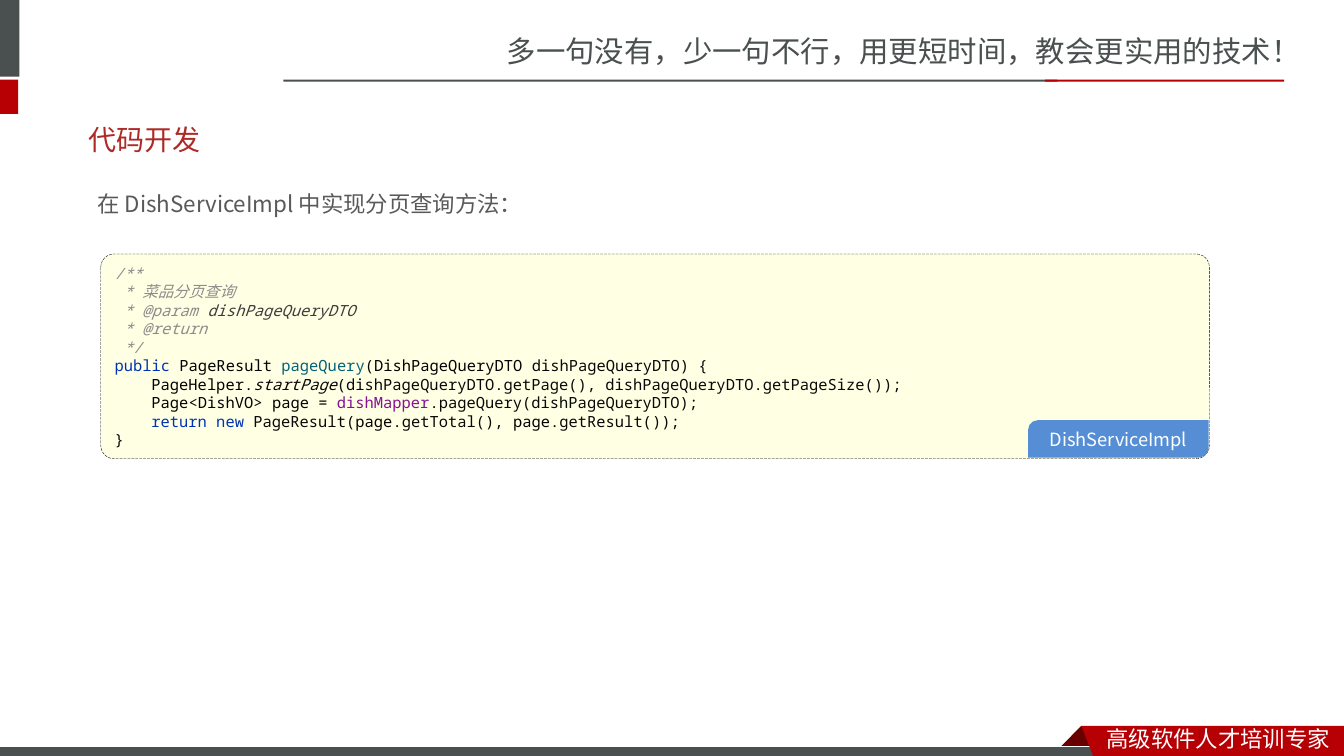
from dataclasses import dataclass
from pptx import Presentation
from pptx.dml.color import RGBColor
from pptx.enum.dml import MSO_LINE
from pptx.enum.shapes import MSO_SHAPE
from pptx.enum.text import MSO_ANCHOR, PP_ALIGN
from pptx.oxml.ns import qn
from pptx.util import Cm, Pt
from lxml.etree import SubElement


@dataclass(frozen=True)
class Theme:
    slate: str = "49504F"
    red: str = "B60004"
    fold: str = "680000"
    white: str = "FFFFFF"
    title: str = "AD2A26"
    body: str = "595959"
    cream: str = "FFFFE4"
    blue: str = "558ED5"
    black: str = "000000"
    code: str = "080808"
    comment: str = "8C8C8C"
    parameter: str = "3D3D3D"
    keyword: str = "0033B3"
    method: str = "00627A"
    field: str = "871094"
    slogan_size: float = 21
    title_size: float = 20
    body_size: float = 16
    tag_size: float = 13
    code_size: float = 11
    sans: str = "Noto Sans CJK SC"
    sans_body: str = "Noto Sans CJK JP"
    latin: str = "Calibri"
    mono: str = "Noto Sans Mono"


class SlideBuilder:
    def __init__(self, page, theme):
        self.page = page
        self.theme = theme

    def style_span(self, span, size, color, font, italic=False):
        span.font.size = Pt(size)
        span.font.color.rgb = RGBColor.from_string(color)
        span.font.name = font
        span.font.italic = italic
        east_asian = self.theme.sans_body if font == self.theme.sans_body else self.theme.sans
        SubElement(span.font._element, qn("a:ea"), typeface=east_asian)

    def paint(self, shape, fill, line=None, width=0.75):
        shape.shadow.inherit = False
        shape.fill.solid()
        shape.fill.fore_color.rgb = RGBColor.from_string(fill)
        if line:
            shape.line.color.rgb = RGBColor.from_string(line)
            shape.line.width = Pt(width)
        else:
            shape.line.fill.background()
        return shape

    def shape(self, kind, place, fill, line=None, width=0.75, adjustments=()):
        shape = self.page.shapes.add_shape(kind, *map(Cm, place))
        for index, value in enumerate(adjustments):
            shape.adjustments[index] = value
        return self.paint(shape, fill, line, width)

    def bar(self, place, fill, line=None):
        return self.shape(MSO_SHAPE.RECTANGLE, place, fill, line)

    def outline(self, points, fill):
        corners = [(Cm(x), Cm(y)) for x, y in points]
        builder = self.page.shapes.build_freeform(*corners[0])
        builder.add_line_segments(corners[1:])
        return self.paint(builder.convert_to_shape(), fill)

    def text(self, place, text, size, color, font, wrap=True, spacing=1.0, anchor=MSO_ANCHOR.TOP):
        box = self.page.shapes.add_textbox(*map(Cm, place))
        frame = box.text_frame
        frame.word_wrap = wrap
        frame.vertical_anchor = anchor
        frame.text = text
        para = frame.paragraphs[0]
        para.line_spacing = spacing
        self.style_span(para.runs[0], size, color, font)

    def code_panel(self, place, lines):
        theme = self.theme
        panel = self.shape(MSO_SHAPE.ROUNDED_RECTANGLE, place, theme.cream,
                           theme.black, 0.25, [0.065])
        panel.line.dash_style = MSO_LINE.LONG_DASH
        frame = panel.text_frame
        frame.word_wrap = True
        frame.vertical_anchor = MSO_ANCHOR.MIDDLE
        for number, (indent, tokens) in enumerate(lines):
            para = frame.add_paragraph() if number else frame.paragraphs[0]
            para.alignment = PP_ALIGN.LEFT
            para._p.get_or_add_pPr().set("marL", str(Cm(indent)))
            for text, color, italic in tokens:
                span = para.add_run()
                span.text = text
                self.style_span(span, theme.code_size, color, theme.mono, italic)

    def tag(self, place, text):
        theme = self.theme
        tag = self.shape(MSO_SHAPE.ROUND_2_DIAG_RECTANGLE, place, theme.blue,
                         adjustments=[0.257, 0])
        frame = tag.text_frame
        frame.margin_left = frame.margin_right = frame.margin_top = frame.margin_bottom = 0
        frame.vertical_anchor = MSO_ANCHOR.MIDDLE
        frame.text = text
        para = frame.paragraphs[0]
        para.alignment = PP_ALIGN.CENTER
        self.style_span(para.runs[0], theme.tag_size, theme.white, theme.sans_body)


def code_lines(theme):
    def comment(text):
        return text, theme.comment, True

    def plain(text):
        return text, theme.code, False

    def name(text):
        return text, theme.black, False

    def keyword(text):
        return text, theme.keyword, False

    step = 0.93
    return [
        (0, [comment("/**")]),
        (0, [comment(" * 菜品分页查询")]),
        (0, [comment(" * @param "), ("dishPageQueryDTO", theme.parameter, True)]),
        (0, [comment(" * @return")]),
        (0, [comment(" */")]),
        (0, [keyword("public "), name("PageResult "), ("pageQuery", theme.method, False),
             plain("("), name("DishPageQueryDTO "), plain("dishPageQueryDTO) {")]),
        (step, [name("PageHelper"), plain("."), ("startPage", theme.code, True),
                plain("(dishPageQueryDTO.getPage(), dishPageQueryDTO.getPageSize());")]),
        (step, [name("Page"), plain("<"), name("DishVO"), plain("> "), name("page "),
                plain("= "), ("dishMapper", theme.field, False),
                plain(".pageQuery(dishPageQueryDTO);")]),
        (step, [keyword("return new "), plain("PageResult("), name("page"),
                plain(".getTotal(), "), name("page"), plain(".getResult());")]),
        (0, [plain("}")]),
    ]


def main():
    theme = Theme()
    deck = Presentation()
    deck.slide_width = Cm(33.87)
    deck.slide_height = Cm(19.05)
    slide = SlideBuilder(deck.slides.add_slide(deck.slide_layouts[6]), theme)

    slide.text((12.52, 0.71, 21.36, 1.19), "多一句没有，少一句不行，用更短时间，教会更实用的技术！",
               theme.slogan_size, theme.slate, theme.sans, wrap=False)
    slide.bar((-0.15, 0, 0.64, 1.93), theme.slate)
    slide.bar((-0.15, 2.01, 0.61, 0.86), theme.red)
    slide.bar((7.14, 2.01, 19.51, 0.05), theme.slate)
    slide.bar((26.34, 2.01, 6.02, 0.05), theme.red)

    slide.outline([(27.25, 18.29), (27.81, 18.85), (27.79, 18.87),
                   (26.72, 18.87), (26.7, 18.85)], theme.fold)
    slide.bar((-0.03, 18.82, 27.94, 0.3), theme.slate, theme.white)
    slide.outline([(27.25, 18.29), (33.87, 18.29), (33.87, 19.15), (27.58, 19.13)], theme.red)
    slide.text((27.64, 18.16, 6.22, 0.94), "高级软件人才培训专家",
               theme.body_size, theme.white, theme.sans, wrap=False)

    slide.text((1.98, 2.79, 29.72, 1.45), "代码开发", theme.title_size, theme.title,
               theme.latin, anchor=MSO_ANCHOR.MIDDLE)
    slide.text((2.21, 4.32, 27.94, 1.17), "在 DishServiceImpl 中实现分页查询方法：",
               theme.body_size, theme.body, theme.sans_body, spacing=1.5)
    slide.code_panel((2.54, 6.4, 27.94, 5.16), code_lines(theme))
    slide.tag((25.91, 10.59, 4.55, 0.94), "DishServiceImpl")
    deck.save("out.pptx")


if __name__ == "__main__":
    main()
